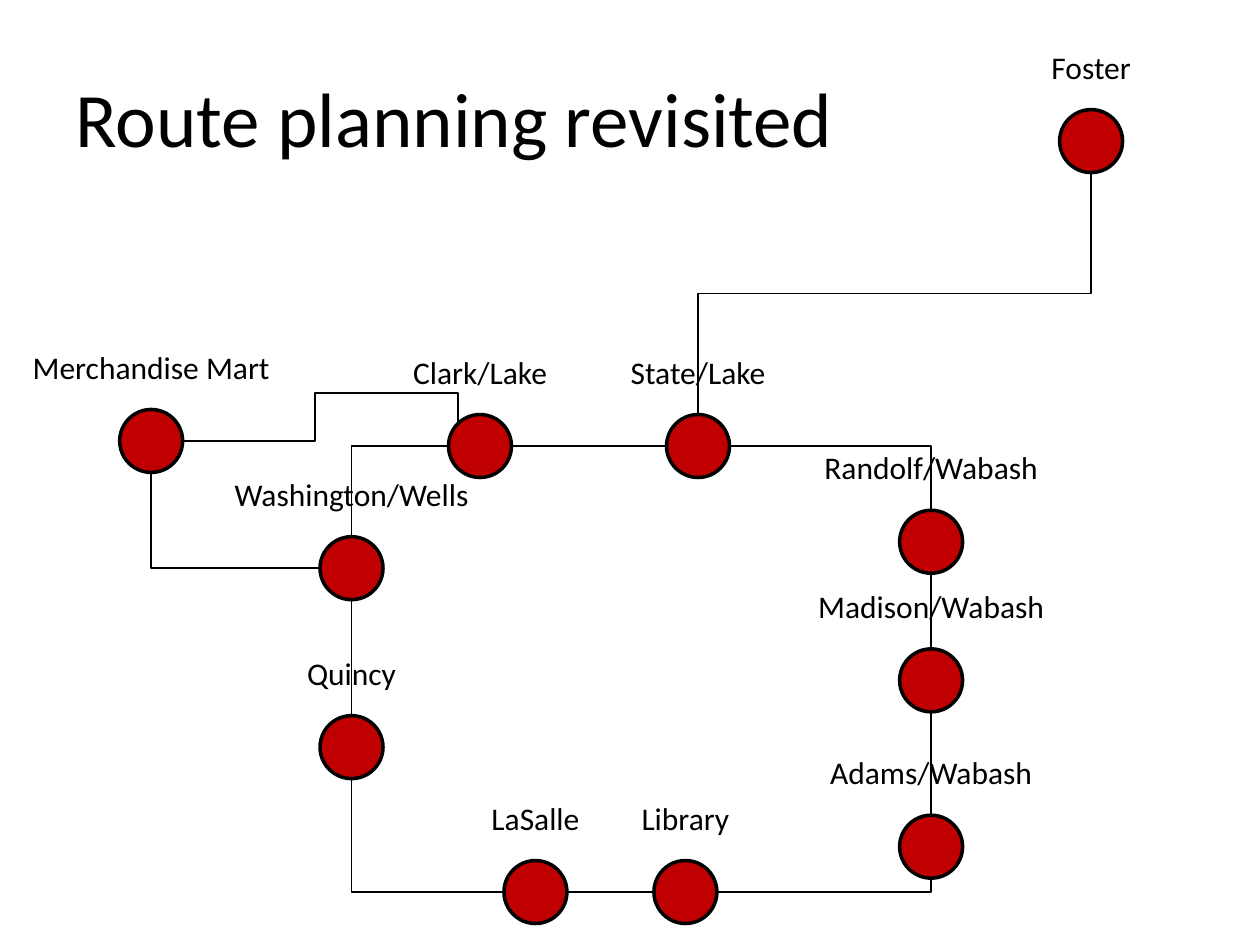
from lxml import etree
from pptx import Presentation
from pptx.dml.color import RGBColor
from pptx.enum.shapes import MSO_CONNECTOR, MSO_SHAPE
from pptx.enum.text import MSO_ANCHOR, MSO_AUTO_SIZE, PP_ALIGN
from pptx.oxml.ns import qn
from pptx.util import Inches, Pt

STRAIGHT, ELBOW = MSO_CONNECTOR.STRAIGHT, MSO_CONNECTOR.ELBOW
OVAL = MSO_SHAPE.OVAL
MIDDLE = MSO_ANCHOR.MIDDLE
LEFT, CENTER = PP_ALIGN.LEFT, PP_ALIGN.CENTER
FIT_SHAPE = MSO_AUTO_SIZE.SHAPE_TO_FIT_TEXT

COLORS = {"ink": "000000", "station": "C00000"}
FONT = "Calibri"
DIAMETER = 0.5
LABEL_RISE, LABEL_HEIGHT = 0.54, 0.4

# Station: left and top of its dot, width of its label
STATIONS = {
    "Foster": (8.41, 0.87, 0.84),
    "State/Lake": (5.29, 3.29, 1.28),
    "Adams/Wabash": (7.14, 6.47, 1.82),
    "Madison/Wabash": (7.14, 5.15, 2.01),
    "Randolf/Wabash": (7.14, 4.05, 1.91),
    "Clark/Lake": (3.56, 3.29, 1.28),
    "Quincy": (2.54, 5.68, 0.92),
    "LaSalle": (4, 6.83, 0.91),
    "Library": (5.19, 6.83, 0.91),
    "Washington/Wells": (2.54, 4.26, 2.08),
    "Merchandise Mart": (0.95, 3.25, 2.1),
}

# Side of a dot: connection site, then offset from its left and top in diameters
SIDES = {
    "top": (0, 0.5, 0),
    "top left": (1, 0.15, 0.15),
    "left": (2, 0, 0.5),
    "bottom": (4, 0.5, 1),
    "right": (6, 1, 0.5),
}

STRAIGHT_TRACKS = [
    ("Randolf/Wabash", "bottom", "Madison/Wabash", "top"),
    ("Madison/Wabash", "bottom", "Adams/Wabash", "top"),
    ("LaSalle", "right", "Library", "left"),
    ("Washington/Wells", "bottom", "Quincy", "top"),
    ("Clark/Lake", "right", "State/Lake", "left"),
]
CORNER_TRACKS = [
    ("Library", "right", "Adams/Wabash", "bottom"),
    ("LaSalle", "left", "Quincy", "bottom"),
    ("Clark/Lake", "left", "Washington/Wells", "top"),
    ("State/Lake", "right", "Randolf/Wabash", "top"),
    ("Washington/Wells", "left", "Merchandise Mart", "bottom"),
]


def color(name):
    """Return the palette colour called name."""
    return RGBColor.from_string(COLORS[name])


def write(frame, text, size=18, align=CENTER, anchor=None, wrap=False):
    """Put formatted text into a text frame."""
    frame.word_wrap = wrap
    if anchor is not None:
        frame.vertical_anchor = anchor
    paragraph = frame.paragraphs[0]
    paragraph.alignment = align
    run = paragraph.add_run()
    run.text = text
    run.font.name = FONT
    run.font.size = Pt(size)
    run.font.color.rgb = color("ink")


def add_station(slide, name):
    """Group a dot with the name centred above it and return the dot."""
    left, top, label_width = STATIONS[name]
    station = slide.shapes.add_group_shape().shapes
    dot = station.add_shape(OVAL, Inches(left), Inches(top),
                            Inches(DIAMETER), Inches(DIAMETER))
    dot.shadow.inherit = False
    dot.fill.solid()
    dot.fill.fore_color.rgb = color("station")
    dot.line.color.rgb = color("ink")
    dot.line.width = Pt(2)
    label = station.add_textbox(
        Inches(left + (DIAMETER - label_width) / 2), Inches(top - LABEL_RISE),
        Inches(label_width), Inches(LABEL_HEIGHT))
    write(label.text_frame, name)
    label.text_frame.auto_size = FIT_SHAPE
    return dot


def end_point(name, side):
    """Return the place in inches where a track meets a station."""
    left, top, _ = STATIONS[name]
    _, across, down = SIDES[side]
    return left + across * DIAMETER, top + down * DIAMETER


def add_track(slide, dots, track, kind=ELBOW, preset=None, bends=(), upright=False):
    """Join two stations; an upright track leaves downwards towards the left."""
    start, start_side, finish, finish_side = track
    x1, y1 = end_point(start, start_side)
    x2, y2 = end_point(finish, finish_side)
    line = slide.shapes.add_connector(kind, 0, 0, 0, 0)
    line.begin_connect(dots[start], 0)
    line.end_connect(dots[finish], 0)
    for tag, side in (("a:stCxn", start_side), ("a:endCxn", finish_side)):
        next(line._element.iter(qn(tag))).set("idx", str(SIDES[side][0]))
    if upright:
        mid_x, mid_y = (x1 + x2) / 2, (y1 + y2) / 2
        half_width, half_height = (y2 - y1) / 2, (x1 - x2) / 2
        x1, x2 = mid_x - half_width, mid_x + half_width
        y1, y2 = mid_y - half_height, mid_y + half_height
    line.begin_x, line.begin_y = Inches(x1), Inches(y1)
    line.end_x, line.end_y = Inches(x2), Inches(y2)
    line.line.color.rgb = color("ink")
    line.line.width = Pt(1)
    properties = line._element.spPr
    etree.SubElement(properties, qn("a:effectLst"))
    if upright:
        properties.find(qn("a:xfrm")).set("rot", str(90 * 60000))
    geometry = properties.find(qn("a:prstGeom"))
    if preset:
        geometry.set("prst", preset)
    for number, share in enumerate(bends, 1):
        etree.SubElement(geometry.find(qn("a:avLst")), qn("a:gd"),
                         name=f"adj{number}", fmla=f"val {round(share * 100000)}")


def main():
    """Build the transit map slide."""
    deck = Presentation()
    deck.slide_width, deck.slide_height = Inches(10), Inches(7.5)
    slide = deck.slides.add_slide(deck.slide_layouts[5])
    title = slide.shapes.title
    title.left, title.top = Inches(0.5), Inches(0.3)
    title.width, title.height = Inches(9), Inches(1.25)
    write(title.text_frame, "Route planning revisited", size=44, align=LEFT,
          anchor=MIDDLE, wrap=True)
    dots = {name: add_station(slide, name) for name in STATIONS}
    for track in STRAIGHT_TRACKS:
        add_track(slide, dots, track, kind=STRAIGHT)
    for track in CORNER_TRACKS:
        add_track(slide, dots, track, preset="bentConnector2")
    add_track(slide, dots, ("Foster", "bottom", "State/Lake", "top"), upright=True)
    add_track(slide, dots, ("Merchandise Mart", "right", "Clark/Lake", "top left"),
              preset="bentConnector4", bends=(0.48, 2.8))
    deck.save("out.pptx")


if __name__ == "__main__":
    main()
